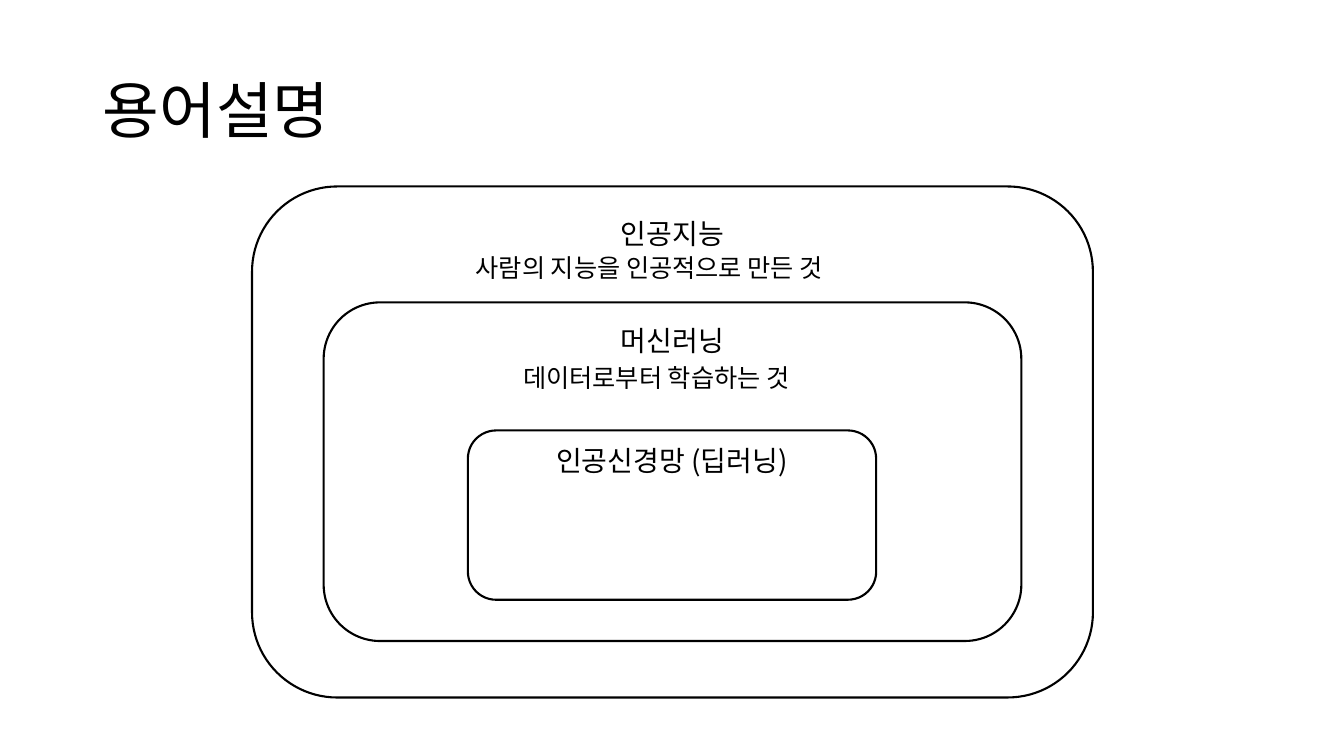
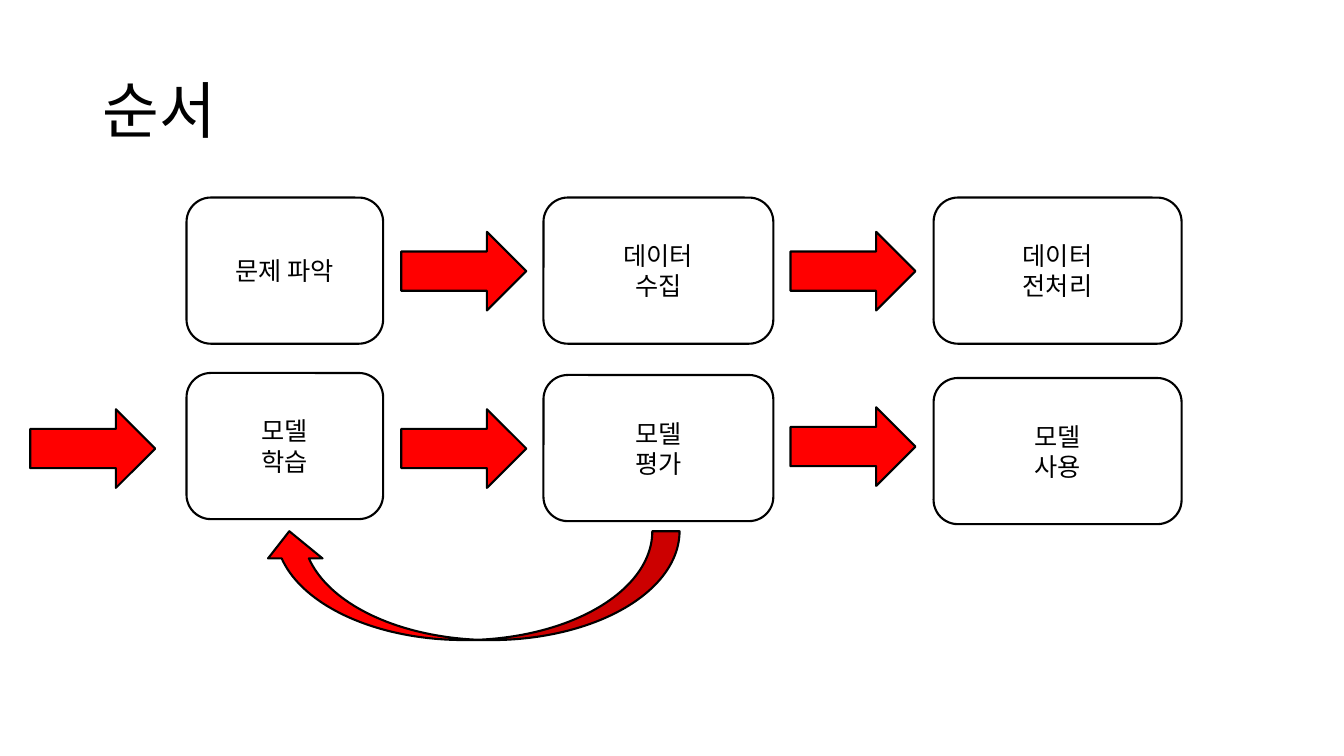
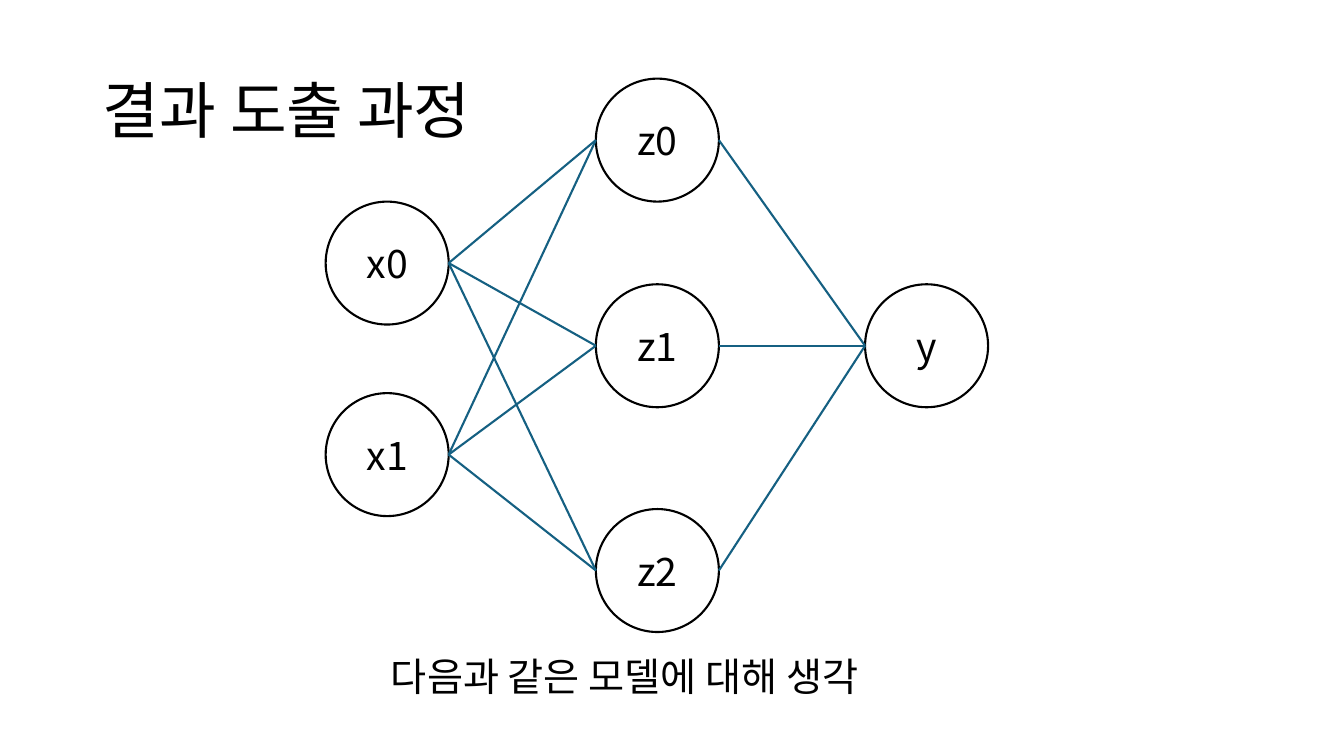
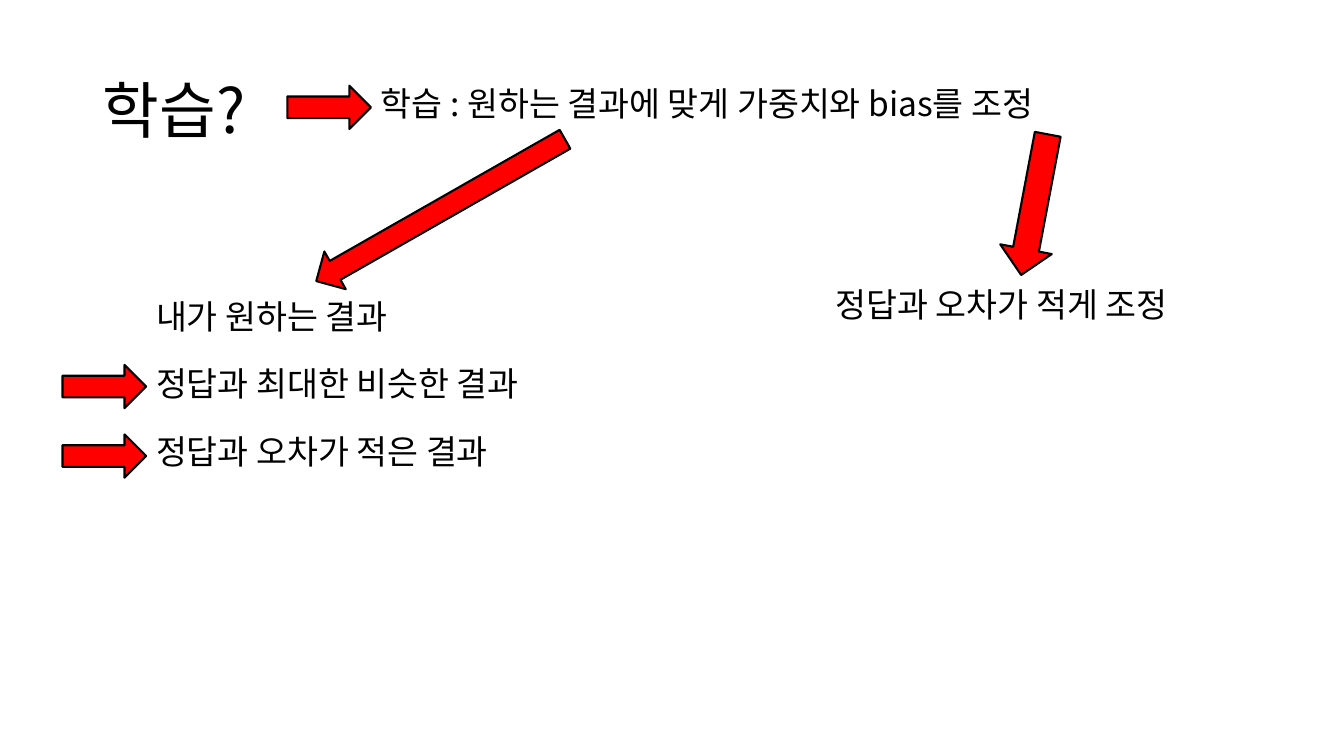
from lxml.etree import SubElement
from pptx import Presentation
from pptx.dml.color import RGBColor
from pptx.enum.shapes import MSO_CONNECTOR, MSO_SHAPE
from pptx.enum.text import MSO_ANCHOR, MSO_AUTO_SIZE, PP_ALIGN
from pptx.oxml.ns import qn
from pptx.util import Inches, Pt

# Shared style
FONT = "Noto Sans CJK KR"
COLORS = {"ink": "000000", "paper": "FFFFFF", "arrow": "FF0000", "link": "156082"}
LINE_WIDTH = 1.5
TITLE_BOX = (0.92, 0.4, 11.5, 1.45)

# Terms: nested boxes as (text, box), captions as (text, box)
TERM_BOXES = [
    ("인공지능", (2.5, 1.85, 8.34, 5.07)),
    ("머신러닝", (3.21, 3, 6.92, 3.36)),
    ("인공신경망 (딥러닝)", (4.64, 4.27, 4.05, 1.68)),
]
TERM_CAPTIONS = [
    ("사람의 지능을 인공적으로 만든 것", (4.62, 2.45, 4.09, 0.4)),
    ("데이터로부터 학습하는 것", (5.09, 3.55, 3.16, 0.4)),
]

# Steps: columns as (left, width), rows as (text, top)
STEP_COLUMNS = [(1.85, 1.95), (5.39, 2.28), (9.26, 2.46)]
STEP_HEIGHT = 1.45
STEP_ROWS = [
    [("문제 파악", 1.96), ("데이터\n수집", 1.96), ("데이터\n전처리", 1.96)],
    [("모델\n학습", 3.7), ("모델\n평가", 3.72), ("모델\n사용", 3.75)],
]
STEP_ARROWS = [(3.98, 2.3), (7.84, 2.3), (0.3, 4.06), (3.98, 4.06), (7.84, 4.04)]
STEP_ARROW_SIZE = (1.24, 0.78)
RETURN_ARROW = (2.6, 5.27, 4.14, 1.08)

# Network: layers as (left, [(name, top), ...])
NODE_SIZE = 1.22
LAYERS = [
    (3.23, [("x0", 2), ("x1", 3.9)]),
    (5.91, [("z0", 0.78), ("z1", 2.82), ("z2", 5.05)]),
    (8.58, [("y", 2.82)]),
]
NETWORK_CAPTION = ("다음과 같은 모델에 대해 생각", (3.78, 6.42, 5.47, 0.57))

# Learning: (text, text box, arrow box, arrow rotation)
LEARNING_NOTES = [
    ("정답과 최대한 비슷한 결과", (1.45, 3.55, 4.26, 0.5), (0.62, 3.62, 0.83, 0.43), 0),
    ("정답과 오차가 적은 결과", (1.45, 4.23, 3.93, 0.5), (0.62, 4.31, 0.83, 0.43), 0),
    ("학습 : 원하는 결과에 맞게 가중치와 bias를 조정",
     (3.68, 0.77, 7.44, 0.5), (2.85, 0.85, 0.83, 0.43), 0),
    ("내가 원하는 결과", (1.45, 2.89, 2.8, 0.5), (2.95, 1.87, 2.84, 0.43), 150.3),
    ("정답과 오차가 적게 조정", (8.19, 2.77, 3.93, 0.5), (9.55, 1.77, 1.42, 0.52), 100.7),
]


def color(name):
    return RGBColor.from_string(COLORS[name])


def inches(values):
    return [Inches(value) for value in values]


def write(frame, text, size, align=PP_ALIGN.LEFT):
    frame.text = text
    for paragraph in frame.paragraphs:
        paragraph.alignment = align
        paragraph.font.size = Pt(size)
        paragraph.font.name = FONT
        paragraph.font.color.rgb = color("ink")
        # East Asian glyphs take their own font element
        defaults = paragraph._p.pPr.find(qn("a:defRPr"))
        SubElement(defaults, qn("a:ea")).set("typeface", FONT)


def add_titled_slide(presentation, text):
    slide = presentation.slides.add_slide(presentation.slide_layouts[5])
    title = slide.shapes.title
    title.left, title.top, title.width, title.height = inches(TITLE_BOX)
    write(title.text_frame, text, 44)
    title.text_frame.vertical_anchor = MSO_ANCHOR.MIDDLE
    title.text_frame.paragraphs[0].line_spacing = 0.9
    return slide


def add_figure(shapes, kind, box, fill="paper", text="", size=18, anchor=MSO_ANCHOR.MIDDLE):
    shape = shapes.add_shape(kind, *inches(box))
    shape.shadow.inherit = False
    shape.fill.solid()
    shape.fill.fore_color.rgb = color(fill)
    shape.line.color.rgb = color("ink")
    shape.line.width = Pt(LINE_WIDTH)
    if text:
        write(shape.text_frame, text, size, PP_ALIGN.CENTER)
        shape.text_frame.vertical_anchor = anchor
    return shape


def add_arrow(shapes, box, rotation=0):
    arrow = add_figure(shapes, MSO_SHAPE.RIGHT_ARROW, box, "arrow")
    arrow.rotation = rotation


def add_label(shapes, text, box, size):
    frame = shapes.add_textbox(*inches(box)).text_frame
    frame.word_wrap = False
    frame.auto_size = MSO_AUTO_SIZE.SHAPE_TO_FIT_TEXT
    write(frame, text, size)


def add_link(shapes, start, end):
    link = shapes.add_connector(MSO_CONNECTOR.STRAIGHT, *inches(start + end))
    link.line.color.rgb = color("link")
    link.line.width = Pt(LINE_WIDTH)
    SubElement(link._element.spPr, qn("a:effectLst"))


def build_terms(presentation):
    shapes = add_titled_slide(presentation, "용어설명").shapes
    for text, box in TERM_BOXES:
        add_figure(shapes, MSO_SHAPE.ROUNDED_RECTANGLE, box, text=text, size=20,
                   anchor=MSO_ANCHOR.TOP)
    for text, box in TERM_CAPTIONS:
        add_label(shapes, text, box, 18)


def build_steps(presentation):
    shapes = add_titled_slide(presentation, "순서").shapes
    for row in STEP_ROWS:
        for (left, width), (text, top) in zip(STEP_COLUMNS, row):
            add_figure(shapes, MSO_SHAPE.ROUNDED_RECTANGLE,
                       (left, top, width, STEP_HEIGHT), text=text)
    for position in STEP_ARROWS:
        add_arrow(shapes, position + STEP_ARROW_SIZE)
    return_arrow = add_figure(shapes, MSO_SHAPE.CURVED_UP_ARROW, RETURN_ARROW, "arrow")
    return_arrow._element.spPr.find(qn("a:xfrm")).set("flipH", "1")


def build_network(presentation):
    shapes = add_titled_slide(presentation, "결과 도출 과정").shapes
    for left, nodes in LAYERS:
        for name, top in nodes:
            add_figure(shapes, MSO_SHAPE.OVAL, (left, top, NODE_SIZE, NODE_SIZE),
                       text=name, size=28)
    # Every node links to every node of the next layer
    radius = NODE_SIZE / 2
    for (left, sources), (next_left, targets) in zip(LAYERS, LAYERS[1:]):
        for _, top in sources:
            for _, next_top in targets:
                add_link(shapes, (left + NODE_SIZE, top + radius),
                         (next_left, next_top + radius))
    add_label(shapes, *NETWORK_CAPTION, 28)


def build_learning(presentation):
    slide = add_titled_slide(presentation, "학습?")
    for text, text_box, arrow_box, rotation in LEARNING_NOTES:
        group = slide.shapes.add_group_shape()
        add_arrow(group.shapes, arrow_box, rotation)
        add_label(group.shapes, text, text_box, 24)


def main():
    presentation = Presentation()
    presentation.slide_width = Inches(13.33)
    presentation.slide_height = Inches(7.5)
    build_terms(presentation)
    build_steps(presentation)
    build_network(presentation)
    build_learning(presentation)
    presentation.save("out.pptx")


if __name__ == "__main__":
    main()
